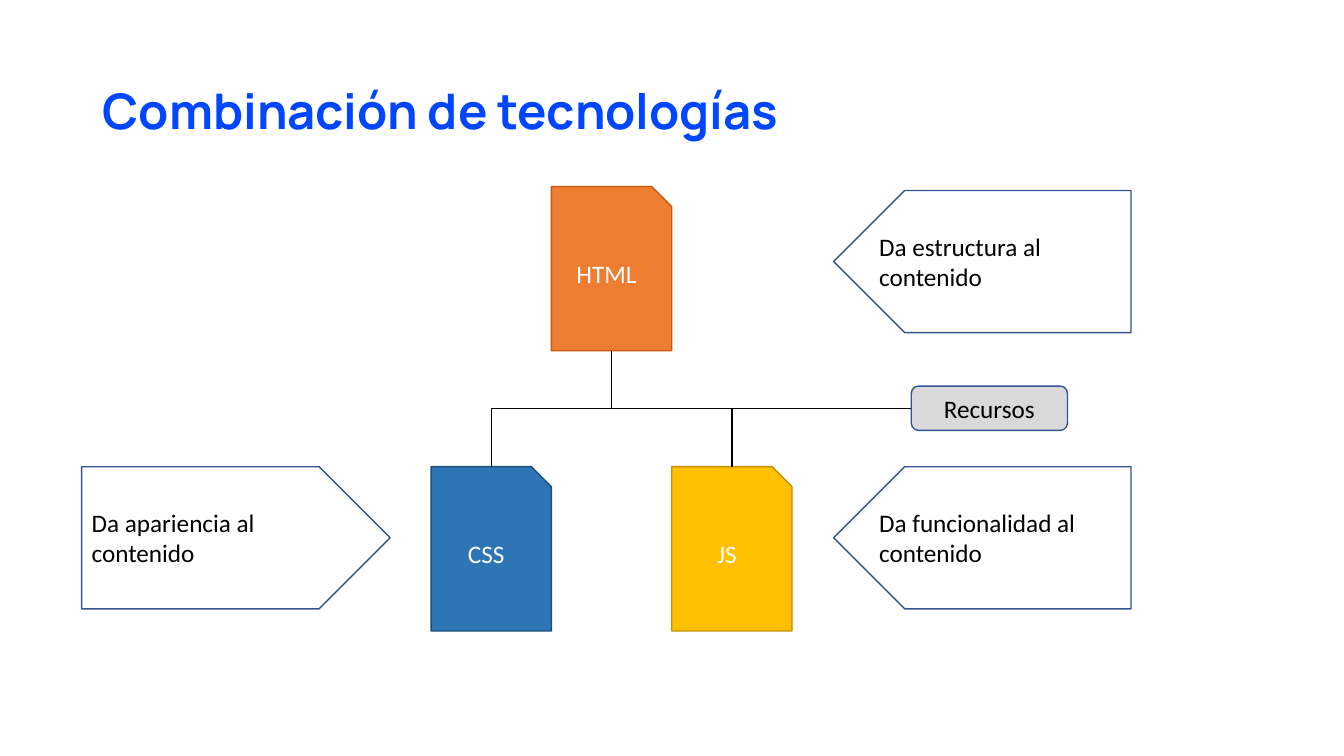
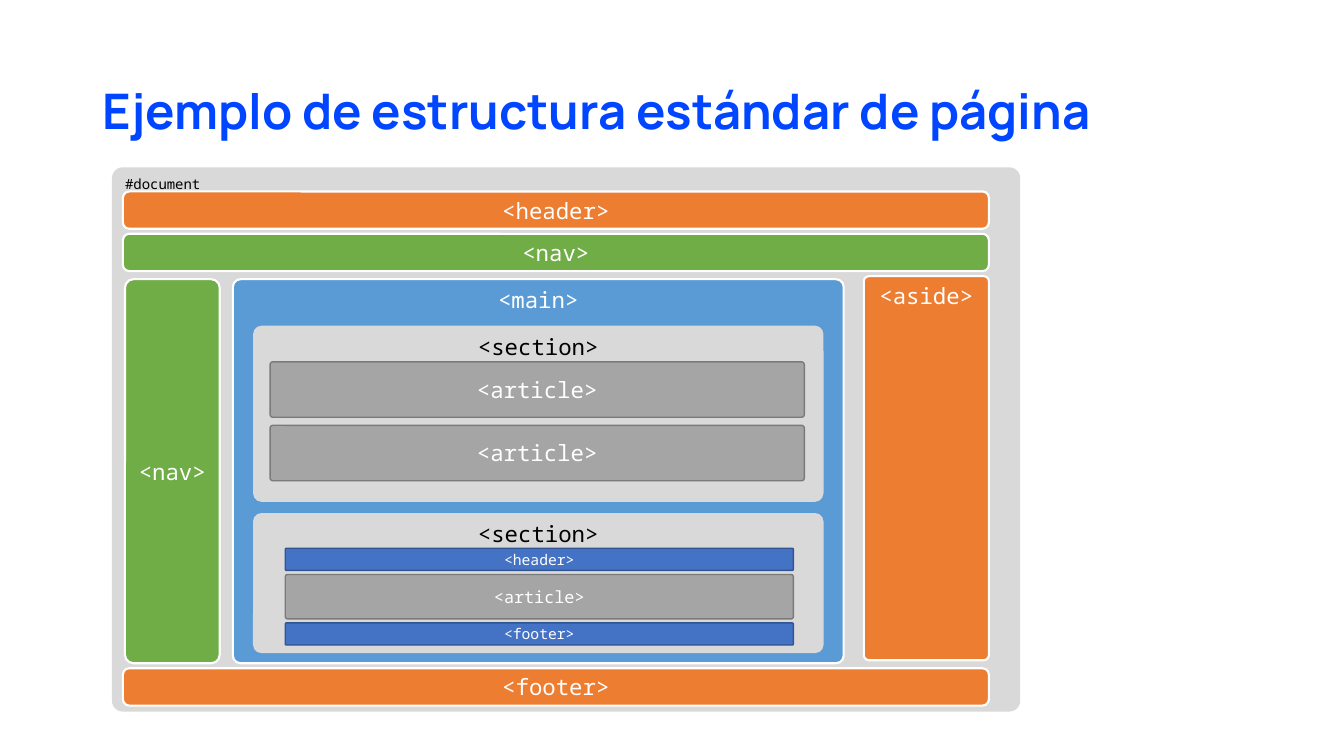
from dataclasses import dataclass
from typing import Any, NamedTuple, Optional

import pptx
import pptx.dml.color
import pptx.enum.shapes
import pptx.enum.text
import pptx.oxml
import pptx.oxml.ns
import pptx.util

RGB = pptx.dml.color.RGBColor
Preset = pptx.enum.shapes.MSO_SHAPE
Anchor = pptx.enum.text.MSO_ANCHOR
Align = pptx.enum.text.PP_ALIGN
Pt = pptx.util.Pt
qn = pptx.oxml.ns.qn

# Shared look
TITLE_BLUE = RGB(0x00, 0x45, 0xFF)
WHITE = RGB(0xFF, 0xFF, 0xFF)
BLACK = RGB(0x00, 0x00, 0x00)
ORANGE = RGB(0xED, 0x7D, 0x31)
DARK_ORANGE = RGB(0xC5, 0x5A, 0x11)
BLUE = RGB(0x2E, 0x75, 0xB6)
DARK_BLUE = RGB(0x1F, 0x4E, 0x79)
YELLOW = RGB(0xFF, 0xC0, 0x00)
DARK_YELLOW = RGB(0xBF, 0x90, 0x00)
LIGHT_GREY = RGB(0xD9, 0xD9, 0xD9)
GREY = RGB(0xA5, 0xA5, 0xA5)
DARK_GREY = RGB(0x7A, 0x7A, 0x7A)
GREEN = RGB(0x70, 0xAD, 0x47)
SKY = RGB(0x5B, 0x9B, 0xD5)
INDIGO = RGB(0x44, 0x72, 0xC4)
NAVY = RGB(0x32, 0x54, 0x91)

TITLE_FONT, BODY_FONT, CODE_FONT = "Manrope", "Calibri", "Noto Sans Mono"
SLIDE_W, SLIDE_H = Pt(960), Pt(540)
TITLE_ONLY = 5


class Area(NamedTuple):
    """A rectangle in percent of the slide's width and height."""
    x: float
    y: float
    w: float
    h: float

    @property
    def center(self) -> float:
        return self.x + self.w / 2

    @property
    def bottom(self) -> float:
        return self.y + self.h


@dataclass(frozen=True)
class Style:
    fill: RGB
    line: Optional[RGB] = None
    line_width: float = 1
    text: RGB = WHITE
    font: str = CODE_FONT
    size: float = 16
    align: Any = Align.CENTER
    anchor: Any = Anchor.MIDDLE


@dataclass(frozen=True)
class Box:
    label: str
    area: Area
    style: Style
    preset: Any = Preset.ROUNDED_RECTANGLE
    corner: Optional[float] = None
    mirrored: bool = False


def across(percent: float) -> int:
    return round(SLIDE_W * percent / 100)


def down(percent: float) -> int:
    return round(SLIDE_H * percent / 100)


def emu(area: Area) -> tuple[int, int, int, int]:
    return across(area.x), down(area.y), across(area.w), down(area.h)


def apply(target: Any, values: dict[str, Any]) -> None:
    for attribute, value in values.items():
        setattr(target, attribute, value)


def format_font(font: Any, name: str, size: float, color: RGB, bold: bool) -> None:
    apply(font, {"name": name, "size": Pt(size), "bold": bold})
    font.color.rgb = color


def add_titled_slide(deck: Any, heading: str) -> Any:
    slide = deck.slides.add_slide(deck.slide_layouts[TITLE_ONLY])
    title = slide.shapes.title
    bounds = emu(Area(6.88, 5.33, 86.25, 19.33))
    apply(title, dict(zip(("left", "top", "width", "height"), bounds)))
    apply(title.text_frame, {
        "text": heading,
        "vertical_anchor": Anchor.MIDDLE,
        "auto_size": pptx.enum.text.MSO_AUTO_SIZE.NONE,
    })
    paragraph = title.text_frame.paragraphs[0]
    apply(paragraph, {"alignment": Align.LEFT, "line_spacing": 0.9})
    format_font(paragraph.runs[0].font, TITLE_FONT, 35, TITLE_BLUE, True)
    return slide


def draw_box(slide: Any, box: Box) -> None:
    style = box.style
    shape = slide.shapes.add_shape(box.preset, *emu(box.area))
    shape.shadow.inherit = False
    if box.corner is not None:
        shape.adjustments[0] = box.corner
    if box.mirrored:
        shape.element.spPr.find(qn("a:xfrm")).set("flipH", "1")
    shape.fill.solid()
    shape.fill.fore_color.rgb = style.fill
    if style.line is None:
        shape.line.fill.background()
    else:
        shape.line.color.rgb = style.line
        shape.line.width = Pt(style.line_width)
    apply(shape.text_frame, {
        "text": box.label, "word_wrap": True, "vertical_anchor": style.anchor,
    })
    paragraph = shape.text_frame.paragraphs[0]
    paragraph.alignment = style.align
    format_font(paragraph.runs[0].font, style.font, style.size, style.text, False)


def draw_branch(slide: Any, start: tuple[float, float], end: tuple[float, float],
                preset: str = "bentConnector3") -> None:
    """Draw an elbow that leaves its start downwards: a quarter-turned connector."""
    x1, x2 = across(start[0]), across(end[0])
    y1, y2 = down(start[1]), down(end[1])
    width, height = y2 - y1, abs(x2 - x1)
    left, top = (x1 + x2 - width) // 2, (y1 + y2 - height) // 2
    branch = slide.shapes.add_connector(
        pptx.enum.shapes.MSO_CONNECTOR.ELBOW, left, top, left + width, top + height)
    branch.line.color.rgb = BLACK
    branch.line.width = Pt(1)
    properties = branch.element.spPr
    properties.append(pptx.oxml.parse_xml(
        f"<a:effectLst {pptx.oxml.ns.nsdecls('a')}/>"))
    properties.find(qn("a:prstGeom")).set("prst", preset)
    to_right = x2 > x1
    turn = {"rot": "16200000", "flipH": "1"} if to_right else {"rot": "5400000"}
    for attribute, value in turn.items():
        properties.find(qn("a:xfrm")).set(attribute, value)


def build_technologies(deck: Any) -> None:
    slide = add_titled_slide(deck, "Combinación de tecnologías")

    # Files: the two lower ones stand one file width to each side of HTML
    file_w, file_h, lower_y = 8.95, 21.73, 61.73
    html = Area(41.03, 24.67, file_w, file_h)
    css = Area(html.x - file_w, lower_y, file_w, file_h)
    js = Area(html.x + file_w, lower_y, file_w, file_h)
    files = [
        ("HTML", html, ORANGE, DARK_ORANGE),
        ("CSS", css, BLUE, DARK_BLUE),
        ("JS", js, YELLOW, DARK_YELLOW),
    ]
    for label, area, fill, line in files:
        draw_box(slide, Box(label, area, Style(fill, line, font=BODY_FONT, size=18),
                            Preset.SNIP_1_RECTANGLE))

    # Resources
    resources = Area(67.8, 51.07, 11.63, 5.87)
    draw_box(slide, Box("Recursos", resources,
                        Style(LIGHT_GREY, NAVY, text=BLACK, font=BODY_FONT, size=18)))

    # Explanations pointing at the files
    note = Style(WHITE, NAVY, text=BLACK, font=BODY_FONT, size=18, align=Align.LEFT)
    note_x, note_w, note_h = 62.03, 22.13, 18.8
    explanations = [
        ("Da estructura al contenido", Area(note_x, 25.2, note_w, note_h), True),
        ("Da funcionalidad al contenido", Area(note_x, lower_y, note_w, note_h), True),
        ("Da apariencia al contenido", Area(6.08, lower_y, 22.95, note_h), False),
    ]
    for label, area, mirrored in explanations:
        draw_box(slide, Box(label, area, note, Preset.PENTAGON, mirrored=mirrored))

    # Branches from HTML
    root = (html.center, html.bottom)
    draw_branch(slide, root, (resources.x, (html.bottom + lower_y) / 2),
                "bentConnector2")
    for target in (js, css):
        draw_branch(slide, root, (target.center, target.y))


def build_page_structure(deck: Any) -> None:
    slide = add_titled_slide(deck, "Ejemplo de estructura estándar de página")

    # Styles of the page parts
    document = Style(LIGHT_GREY, text=BLACK, size=10, align=Align.LEFT,
                     anchor=Anchor.TOP)
    orange_band = Style(ORANGE, WHITE, 1.5)
    green_band = Style(GREEN, WHITE, 1.5)
    main = Style(SKY, WHITE, 1.5, anchor=Anchor.TOP)
    aside = Style(ORANGE, WHITE, 1.5, anchor=Anchor.TOP)
    section = Style(LIGHT_GREY, text=BLACK, anchor=Anchor.TOP)
    article = Style(GREY, DARK_GREY)
    small_article = Style(GREY, DARK_GREY, size=12)
    small_band = Style(INDIGO, NAVY, size=10.5)

    # Columns (left, width) and the heights that recur
    band, block, inner, nested = (9.15, 64.43), (18.83, 42.45), (20.1, 39.75), (21.23, 37.8)
    band_h, column_h, article_h, small_h = 4.93, 50.8, 7.33, 2.93
    column_y, article_y, article_step = 36.93, 47.87, 8.4

    def row(column: tuple[float, float], y: float, h: float) -> Area:
        return Area(column[0], y, column[1], h)

    parts = [
        # Page frame and columns
        Box("#document", Area(8.33, 22.13, 67.58, 72), document, corner=0.02),
        Box("<header>", row(band, 25.33, band_h), orange_band),
        Box("<nav>", Area(9.3, column_y, 7.05, column_h), green_band, corner=0.09),
        Box("<nav>", row(band, 30.93, band_h), green_band),
        Box("<main>", Area(17.33, column_y, 45.45, column_h), main, corner=0.02),
        Box("<aside>", Area(64.28, 36.53, 9.3, column_h), aside, corner=0.04),
        Box("<footer>", row(band, 88.4, band_h), orange_band),
        # Sections of the main column
        Box("<section>", row(block, 43.07, 23.33), section, corner=0.05),
        Box("<section>", row(block, 67.87, 18.53), section, corner=0.06),
        # Articles of the first section
        *(Box("<article>", row(inner, article_y + i * article_step, article_h),
              article, corner=0.05) for i in range(2)),
        # Contents of the second section
        Box("<article>", row(nested, 76, 5.87), small_article, corner=0.05),
        Box("<header>", row(nested, 72.53, small_h), small_band, corner=0.05),
        Box("<footer>", row(nested, 82.4, small_h), small_band, corner=0.05),
    ]
    for part in parts:
        draw_box(slide, part)


def main() -> None:
    deck = pptx.Presentation()
    apply(deck, {"slide_width": SLIDE_W, "slide_height": SLIDE_H})
    build_technologies(deck)
    build_page_structure(deck)
    deck.save("out.pptx")


if __name__ == "__main__":
    main()
